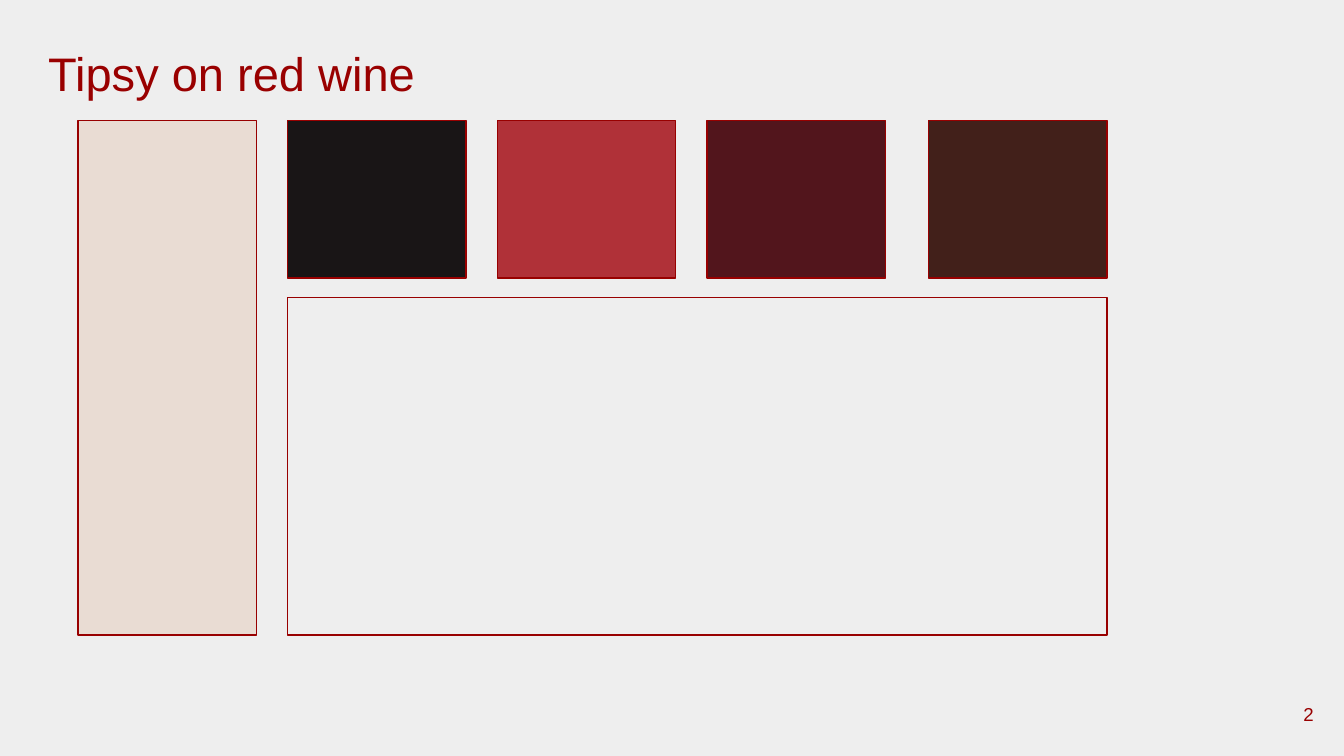
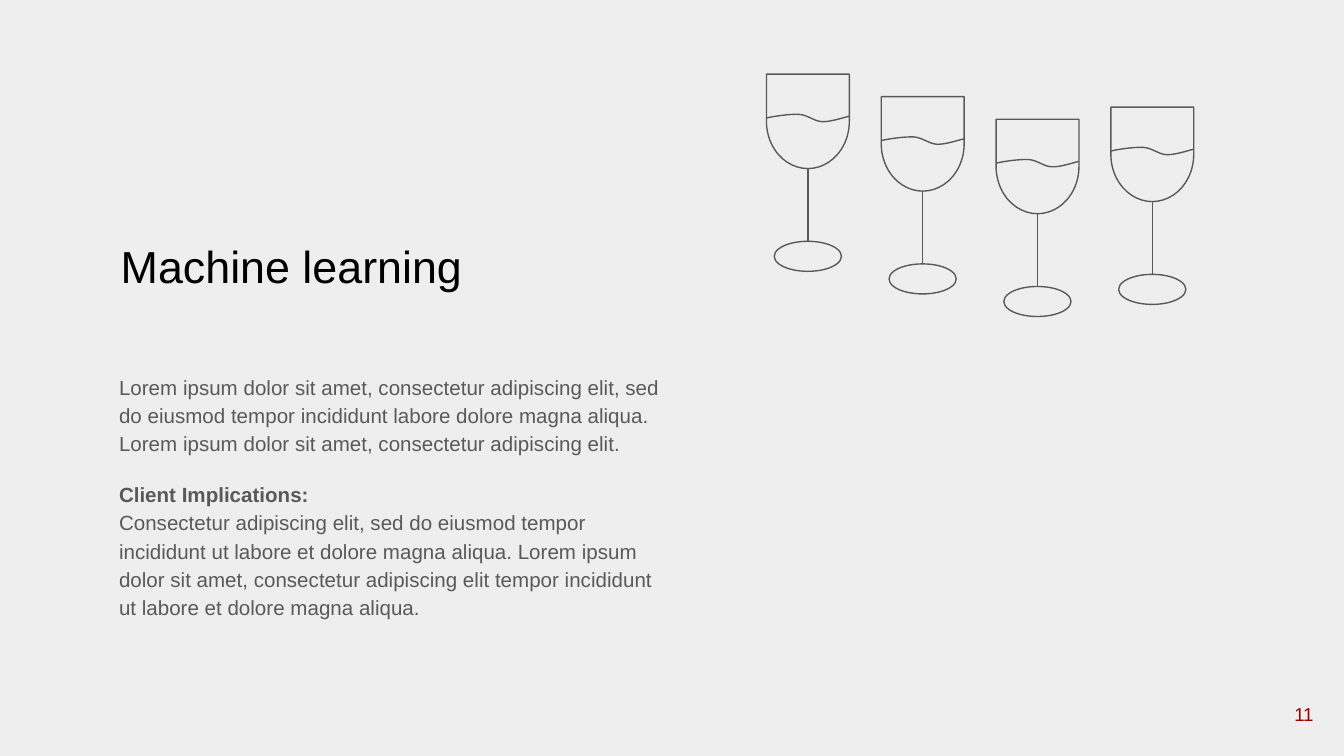
import pptx
import pptx.dml.color
import pptx.enum.shapes
import pptx.enum.text
import pptx.oxml.ns
import pptx.oxml.xmlchemy
import pptx.util

Pt = pptx.util.Pt
RGBColor = pptx.dml.color.RGBColor
MSO_SHAPE = pptx.enum.shapes.MSO_SHAPE
MSO_CONNECTOR = pptx.enum.shapes.MSO_CONNECTOR
PP_ALIGN = pptx.enum.text.PP_ALIGN
MSO_ANCHOR = pptx.enum.text.MSO_ANCHOR
OxmlElement = pptx.oxml.xmlchemy.OxmlElement
qn = pptx.oxml.ns.qn

PAPER = RGBColor(0xEE, 0xEE, 0xEE)
WINE = RGBColor(0x98, 0x00, 0x00)
TITLE_WINE = RGBColor(0x99, 0x00, 0x00)
BLACK = RGBColor(0x00, 0x00, 0x00)
GREY = RGBColor(0x59, 0x59, 0x59)
CREAM = RGBColor(0xE9, 0xDC, 0xD3)
SWATCHES = [
    RGBColor(0x19, 0x15, 0x16),
    RGBColor(0xB0, 0x31, 0x38),
    RGBColor(0x52, 0x15, 0x1C),
    RGBColor(0x42, 0x20, 0x1A),
]

FONT = "Arial"
LINE_WIDTH = 0.75
INSET = 7.2
GLASS_LEFT, GLASS_PITCH = 410.6, 61.5
GLASS_TOPS = [39.7, 51.8, 63.9, 57.4]
WINE_SURFACE = [
    (0, 2.3),
    (2.9, 1.4), (13, 0), (17.5, 0.3),
    (22.3, 0.7), (25.2, 3.8), (29.5, 4.2),
    (33.8, 4.6), (42, 1.8), (44.4, 1.3),
]
BODY = [
    "Lorem ipsum dolor sit amet, consectetur adipiscing elit, sed do eiusmod tempor "
    "incididunt labore dolore magna aliqua. Lorem ipsum dolor sit amet, consectetur "
    "adipiscing elit.",
    "Client Implications:",
    "Consectetur adipiscing elit, sed do eiusmod tempor incididunt ut labore et dolore "
    "magna aliqua. Lorem ipsum dolor sit amet, consectetur adipiscing elit tempor "
    "incididunt ut labore et dolore magna aliqua.",
]


def add_text(slide, box, *paragraphs, size, color, align=PP_ALIGN.LEFT,
             anchor=MSO_ANCHOR.TOP, spacing=None, bottom_inset=INSET):
    """Place paragraphs in a box given in points and return them."""
    frame = slide.shapes.add_textbox(*map(Pt, box)).text_frame
    frame.word_wrap = True
    frame.vertical_anchor = anchor
    frame.margin_left = frame.margin_right = frame.margin_top = Pt(INSET)
    frame.margin_bottom = Pt(bottom_inset)
    frame.text = "\n".join(paragraphs)
    for paragraph in frame.paragraphs:
        paragraph.alignment = align
        paragraph.line_spacing = spacing
        paragraph.font.name = FONT
        paragraph.font.size = Pt(size)
        paragraph.font.color.rgb = color
    return frame.paragraphs


def outline(shape, color, fill=None):
    """Give a shape a thin outline and an optional fill."""
    shape.shadow.inherit = False
    shape.line.color.rgb = color
    shape.line.width = Pt(LINE_WIDTH)
    if fill is None:
        shape.fill.background()
    else:
        shape.fill.solid()
        shape.fill.fore_color.rgb = fill


def add_outlined(shapes, kind, box, color, fill=None):
    """Add an outlined preset shape in a box given in points."""
    shape = shapes.add_shape(kind, *map(Pt, box))
    outline(shape, color, fill)
    return shape


def add_page(deck, number):
    """Add a blank slide with the shared background and page number."""
    slide = deck.slides.add_slide(deck.slide_layouts[6])
    slide.background.fill.solid()
    slide.background.fill.fore_color.rgb = PAPER
    add_text(slide, (667.6, 367.2, 43.2, 31), number, size=10, color=WINE,
             align=PP_ALIGN.RIGHT, anchor=MSO_ANCHOR.MIDDLE)
    return slide


def add_palette(slide, left, top, width, height):
    """Draw a tall column, a row of swatches and a panel below the row."""
    swatch_width, swatch_height, pitch, row_gap = 95.6, 84.3, 112.3, 10.4
    right = left + width
    panel_left = left + pitch
    panel_top = top + swatch_height + row_gap
    tiles = [((left, top, swatch_width, height), CREAM)]
    for index, color in enumerate(SWATCHES):
        x = panel_left + index * pitch
        if index == len(SWATCHES) - 1:
            x = right - swatch_width
        tiles.append(((x, top, swatch_width, swatch_height), color))
    tiles.append(((panel_left, panel_top, right - panel_left,
                   top + height - panel_top), PAPER))
    for box, color in tiles:
        add_outlined(slide.shapes, MSO_SHAPE.RECTANGLE, box, WINE, color)


def add_curve(shapes, left, top, points):
    """Draw an open chain of cubic curves through start, control and end points."""
    (start, *rest) = [(Pt(left + x), Pt(top + y)) for x, y in points]
    builder = shapes.build_freeform(*start)
    builder.add_line_segments(rest, close=False)
    curve = builder.convert_to_shape()
    steps = list(curve.element.iter(qn("a:lnTo")))
    for first in range(0, len(steps), 3):
        bezier = OxmlElement("a:cubicBezTo")
        steps[first].addprevious(bezier)
        for step in steps[first:first + 3]:
            bezier.append(step[0])
            step.getparent().remove(step)
    outline(curve, GREY)


def add_glass(slide, left, top):
    """Draw one wine glass as a group from its top left corner."""
    width, bowl_height, foot_width, foot_height, foot_top = 44.4, 50.6, 36, 16.1, 89.6
    shapes = slide.shapes.add_group_shape().shapes
    center = left + width / 2
    bowl = add_outlined(
        shapes, MSO_SHAPE.FLOWCHART_DELAY,
        (center - bowl_height / 2, top + (bowl_height - width) / 2, bowl_height, width),
        GREY)
    bowl.rotation = 90
    foot = add_outlined(
        shapes, MSO_SHAPE.FLOWCHART_CONNECTOR,
        (center - foot_width / 2, top + foot_top, foot_width, foot_height), GREY)
    add_curve(shapes, left, top + 21.3, WINE_SURFACE)
    stem = shapes.add_connector(MSO_CONNECTOR.STRAIGHT, Pt(center), Pt(top + bowl_height),
                                Pt(center), Pt(top + foot_top))
    stem.end_connect(foot, 0)
    stem.line.color.rgb = GREY
    stem.line.width = Pt(LINE_WIDTH)
    stem.element.spPr.append(OxmlElement("a:effectLst"))


def build_palette_slide(deck):
    """Build the colour palette slide."""
    slide = add_page(deck, "2")
    add_text(slide, (18.7, 16.6, 671, 45.4), "Tipsy on red wine", size=25.2,
             color=TITLE_WINE)
    add_palette(slide, 41.8, 64.7, 551.3, 275.6)


def build_topic_slide(deck):
    """Build the topic slide with its text and wine glasses."""
    slide = add_page(deck, "11")
    add_text(slide, (57.6, 103.7, 306.7, 81.4), "Machine learning", size=24, color=BLACK,
             anchor=MSO_ANCHOR.BOTTOM, bottom_inset=INSET + 27.6)
    _, heading, implications = add_text(slide, (56.7, 191.5, 306.7, 164.9), *BODY, size=11,
                                        color=GREY, spacing=1.15)
    heading.font.bold = True
    heading.space_before = Pt(12)
    implications.space_after = Pt(12)
    for index, top in enumerate(GLASS_TOPS):
        add_glass(slide, GLASS_LEFT + index * GLASS_PITCH, top)


def main():
    """Build the deck and save it."""
    deck = pptx.Presentation()
    deck.slide_width, deck.slide_height = Pt(720), Pt(405)
    build_palette_slide(deck)
    build_topic_slide(deck)
    deck.save("out.pptx")


if __name__ == "__main__":
    main()
